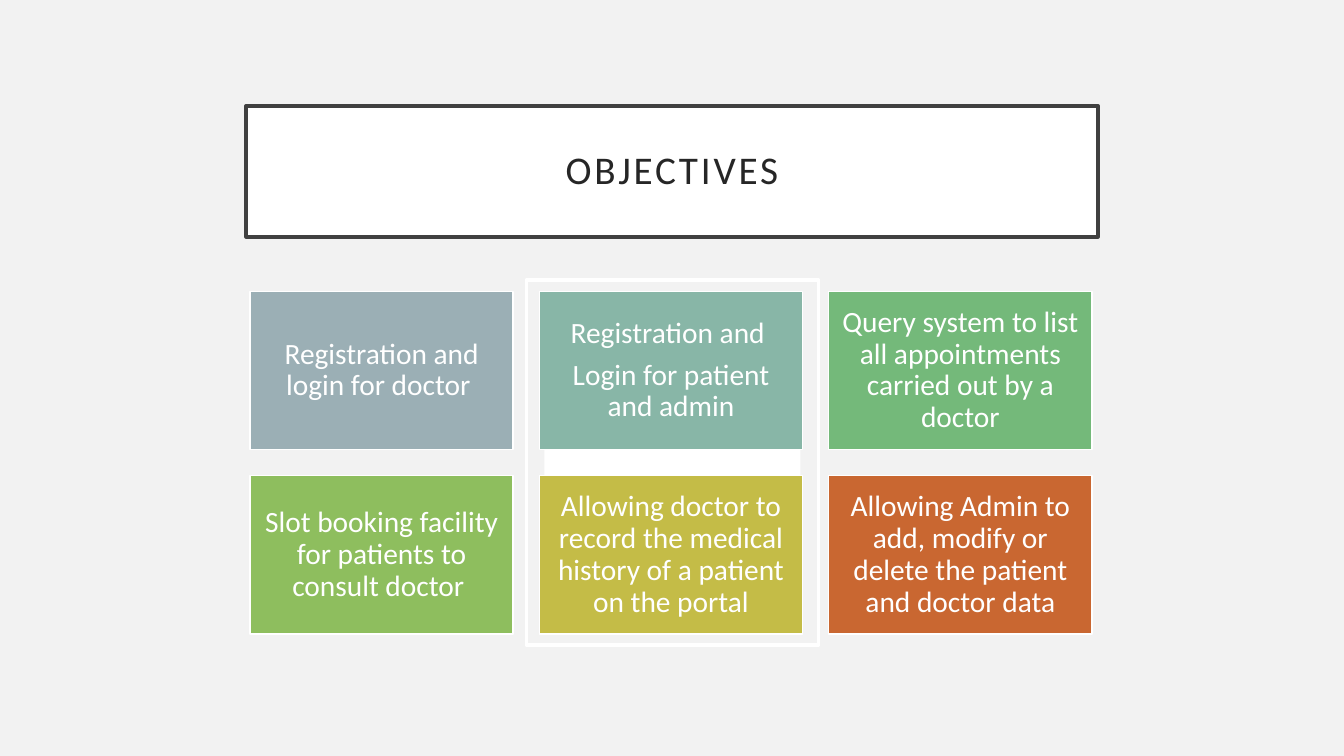
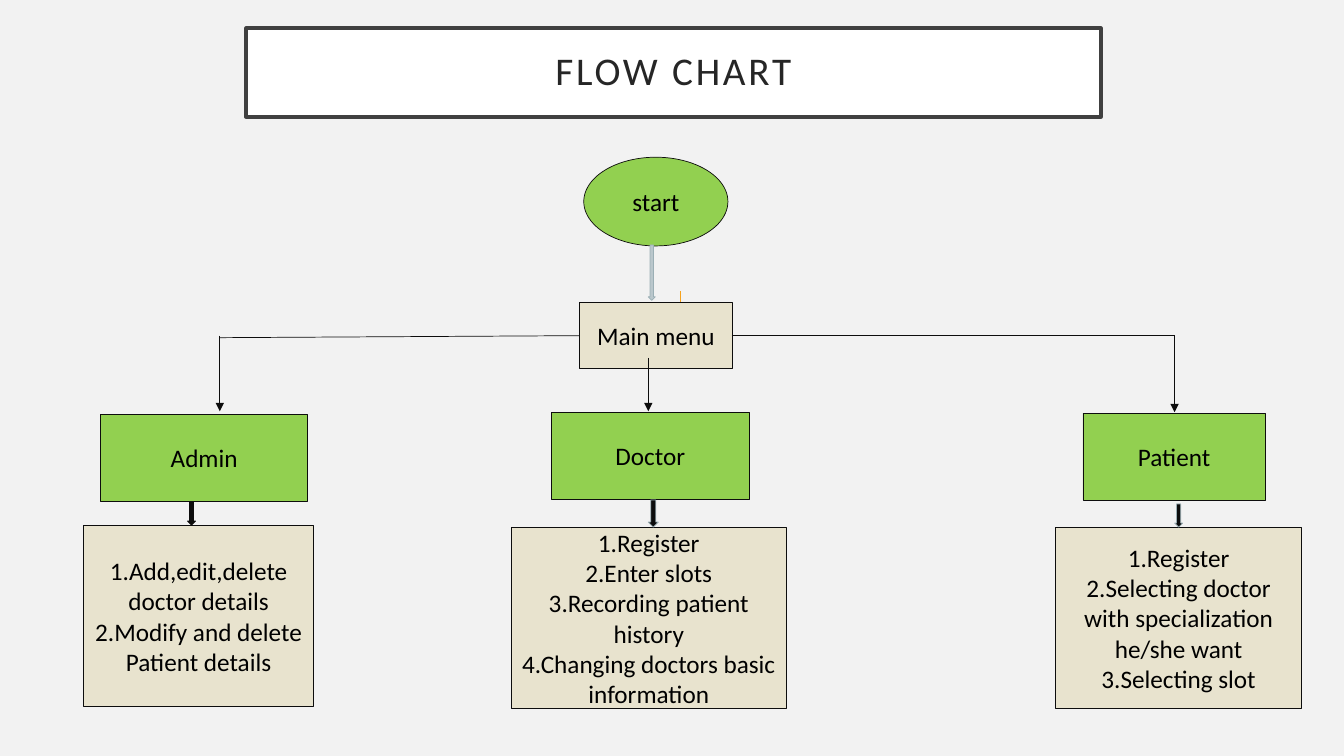
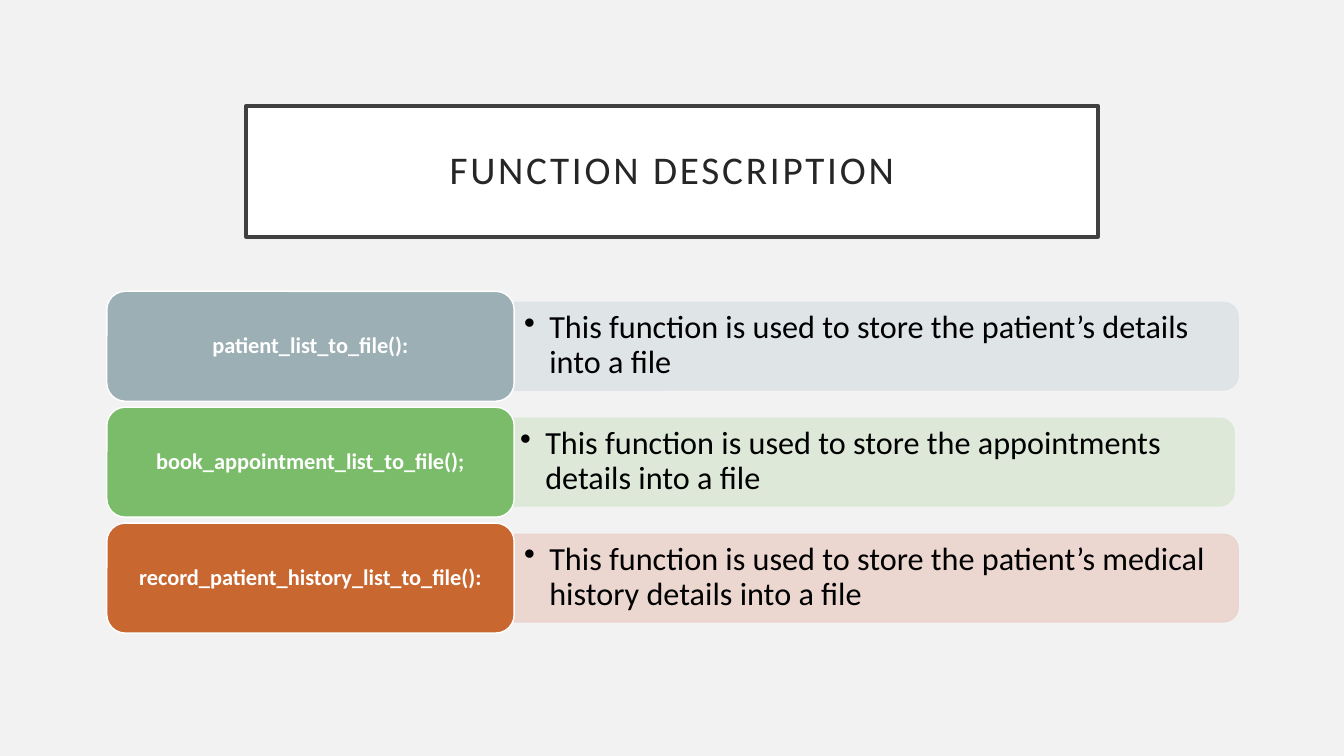
from dataclasses import dataclass
from typing import NamedTuple

from lxml.etree import SubElement
from pptx import Presentation
from pptx.dml.color import RGBColor
from pptx.enum.shapes import MSO_CONNECTOR, MSO_SHAPE
from pptx.enum.text import MSO_ANCHOR, MSO_AUTO_SIZE, PP_ALIGN
from pptx.oxml.ns import qn
from pptx.shapes.autoshape import Shape
from pptx.slide import Slide
from pptx.text.text import TextFrame
from pptx.util import Inches, Pt

FONT = "Calibri"
BACKGROUND = RGBColor(0xF2, 0xF2, 0xF2)
WHITE = RGBColor(0xFF, 0xFF, 0xFF)
BLACK = RGBColor(0x00, 0x00, 0x00)
TITLE_TEXT = RGBColor(0x26, 0x26, 0x26)
TITLE_BORDER = RGBColor(0x40, 0x40, 0x40)
INK = RGBColor(0x0D, 0x0D, 0x0D)
SLATE = RGBColor(0x9B, 0xAF, 0xB5)
PALE_SLATE = RGBColor(0xDE, 0xE3, 0xE5)
ARROW_SLATE = RGBColor(0xBA, 0xC7, 0xCC)
TEAL = RGBColor(0x88, 0xB6, 0xA7)
GREEN = RGBColor(0x74, 0xB9, 0x7A)
LEAF = RGBColor(0x7A, 0xBC, 0x69)
PALE_LEAF = RGBColor(0xDB, 0xE8, 0xD6)
LIME = RGBColor(0x8E, 0xBE, 0x5E)
OLIVE = RGBColor(0xC4, 0xBC, 0x47)
RUST = RGBColor(0xC9, 0x67, 0x31)
PALE_RUST = RGBColor(0xEB, 0xD3, 0xCD)
FLOW_GREEN = RGBColor(0x92, 0xD0, 0x50)
SAND = RGBColor(0xE8, 0xE3, 0xCE)
ORANGE = RGBColor(0xF6, 0xA2, 0x1D)


class Box(NamedTuple):
    """Left, top, width and height in inches."""

    left: float
    top: float
    width: float
    height: float

    def lengths(self) -> list[int]:
        return [Inches(value) for value in self]


TITLE_BOX = Box(2.44, 1.05, 8.45, 1.3)
FLOW_TITLE_BOX = Box(2.44, 0.28, 8.48, 0.88)


@dataclass(frozen=True)
class Objective:
    color: RGBColor
    paragraphs: tuple[str, ...]


@dataclass(frozen=True)
class Role:
    name: str
    name_box: Box
    arrow_box: Box
    arrow_border: RGBColor
    tasks_box: Box
    tasks: tuple[str, ...]


@dataclass(frozen=True)
class Route:
    start: tuple[float, float]
    end: tuple[float, float]
    arrow: bool = False
    color: RGBColor = INK


@dataclass(frozen=True)
class FunctionRow:
    name: str
    purpose: str
    color: RGBColor
    pale: RGBColor
    shift: float = 0


OBJECTIVES = (
    Objective(SLATE, ("Registration and login for doctor ",)),
    Objective(TEAL, ("Registration and ", "Login for patient and admin")),
    Objective(GREEN, ("Query system to list all appointments carried out by a doctor",)),
    Objective(LIME, ("Slot booking facility for patients to consult doctor ",)),
    Objective(OLIVE, ("Allowing doctor to record the medical history of a patient on the portal",)),
    Objective(RUST, ("Allowing Admin to add, modify or delete the patient and doctor data",)),
)

ROLES = (
    Role("Admin", Box(1, 4.11, 2.05, 0.86), Box(1.86, 4.98, 0.08, 0.23), INK,
         Box(0.83, 5.21, 2.28, 1.8),
         ("1.Add,edit,delete doctor details", "2.Modify and delete ", "Patient details")),
    Role("Doctor", Box(5.47, 4.09, 1.96, 0.86), Box(6.43, 4.96, 0.1, 0.27), SLATE,
         Box(5.07, 5.23, 2.73, 1.8),
         ("1.Register", "2.Enter slots", "3.Recording patient history",
          "4.Changing doctors basic information")),
    Role("Patient", Box(10.74, 4.1, 1.81, 0.86), Box(11.65, 5, 0.08, 0.23), SLATE,
         Box(10.47, 5.23, 2.44, 1.8),
         ("1.Register", "2.Selecting doctor with specialization he/she want",
          "3.Selecting slot")),
)

MENU_MARK = Route((6.75, 2.89), (6.75, 3.37), arrow=True, color=ORANGE)
ROUTES = (
    Route((5.75, 3.33), (2.18, 3.35)),
    Route((2.18, 3.33), (2.18, 4.08), arrow=True),
    Route((7.26, 3.33), (11.65, 3.33)),
    Route((11.65, 3.33), (11.65, 4.09), arrow=True),
    Route((6.43, 3.55), (6.43, 4.08), arrow=True),
)

FUNCTIONS = (
    FunctionRow("patient_list_to_file():",
                "This function is used to store the patient’s details into a file",
                SLATE, PALE_SLATE),
    FunctionRow("book_appointment_list_to_file();",
                "This function is used to store the appointments details into a file",
                LEAF, PALE_LEAF, shift=-0.04),
    FunctionRow("record_patient_history_list_to_file():",
                "This function is used to store the patient’s medical history details into a file",
                RUST, PALE_RUST),
)


def write_text(frame: TextFrame, *paragraphs: str, size: float = 18,
               color: RGBColor = BLACK, bold: bool = False,
               align: PP_ALIGN = PP_ALIGN.CENTER, line_spacing: float = 1.0,
               space_after: float = 0, inset: tuple[float, float] = (0.1, 0.05),
               tracking: float = 0, bullet: bool = False) -> None:
    """Fill a frame; inset is (horizontal, vertical) inches, tracking is points."""
    frame.word_wrap = True
    frame.auto_size = MSO_AUTO_SIZE.NONE
    frame.vertical_anchor = MSO_ANCHOR.MIDDLE
    frame.margin_left = frame.margin_right = Inches(inset[0])
    frame.margin_top = frame.margin_bottom = Inches(inset[1])
    for index, text in enumerate(paragraphs):
        paragraph = frame.add_paragraph() if index else frame.paragraphs[0]
        if bullet:
            properties = paragraph._p.get_or_add_pPr()
            properties.set("marL", str(Inches(0.25)))
            properties.set("indent", str(-Inches(0.25)))
            SubElement(properties, qn("a:buChar")).set("char", "•")
        paragraph.alignment = align
        paragraph.line_spacing = line_spacing
        paragraph.space_after = Pt(space_after)
        run = paragraph.add_run()
        run.text = text
        run.font.name = FONT
        run.font.size = Pt(size)
        run.font.bold = bold
        run.font.color.rgb = color
        if tracking:
            run._r.get_or_add_rPr().set("spc", str(round(tracking * 100)))


def paint(shape: Shape, fill: RGBColor | None, border: RGBColor | None,
          border_width: float) -> None:
    if fill is None:
        shape.fill.background()
    else:
        shape.fill.solid()
        shape.fill.fore_color.rgb = fill
    if border is None:
        shape.line.fill.background()
    else:
        shape.line.color.rgb = border
        shape.line.width = Pt(border_width)


def add_block(slide: Slide, kind: MSO_SHAPE, box: Box, fill: RGBColor | None = None,
              border: RGBColor | None = None, border_width: float = 1) -> Shape:
    block = slide.shapes.add_shape(kind, *box.lengths())
    block.shadow.inherit = False
    paint(block, fill, border, border_width)
    return block


def add_titled_slide(prs: Presentation, title: str, box: Box = TITLE_BOX) -> Slide:
    slide = prs.slides.add_slide(prs.slide_layouts.get_by_name("Title Only"))
    heading = slide.shapes.title
    heading.left, heading.top, heading.width, heading.height = box.lengths()
    paint(heading, WHITE, TITLE_BORDER, 2.5)
    write_text(heading.text_frame, title, size=28, color=TITLE_TEXT,
               line_spacing=0.9, inset=(0.2, 0.2), tracking=2)
    return slide


def add_route(slide: Slide, route: Route) -> None:
    points = [Inches(value) for value in (*route.start, *route.end)]
    connector = slide.shapes.add_connector(MSO_CONNECTOR.STRAIGHT, *points)
    connector.line.color.rgb = route.color
    connector.line.width = Pt(0.5)
    if route.arrow:
        SubElement(connector.line._get_or_add_ln(), qn("a:tailEnd")).set("type", "triangle")
    SubElement(connector._element.spPr, qn("a:effectLst"))


def set_opacity(shape: Shape, percent: int) -> None:
    for color in shape._element.spPr.iter(qn("a:srgbClr")):
        SubElement(color, qn("a:alpha")).set("val", str(percent * 1000))


def build_objectives(prs: Presentation) -> None:
    slide = add_titled_slide(prs, "OBJECTIVES")
    add_block(slide, MSO_SHAPE.RECTANGLE, Box(5.22, 2.78, 2.9, 3.62),
              border=WHITE, border_width=2.5)
    add_block(slide, MSO_SHAPE.RECTANGLE, Box(5.4, 2.96, 2.54, 3.26), fill=WHITE)
    width, height, gap, columns = 2.61, 1.57, 0.26, 3
    for index, objective in enumerate(OBJECTIVES):
        row, column = divmod(index, columns)
        box = Box(2.48 + column * (width + gap), 2.89 + row * (height + gap), width, height)
        card = add_block(slide, MSO_SHAPE.RECTANGLE, box, objective.color, WHITE)
        write_text(card.text_frame, *objective.paragraphs, size=21, color=WHITE,
                   line_spacing=0.9, space_after=7.35, inset=(0.09, 0.09))


def add_flow_node(slide: Slide, box: Box, fill: RGBColor, *lines: str,
                  kind: MSO_SHAPE = MSO_SHAPE.RECTANGLE) -> None:
    node = add_block(slide, kind, box, fill, INK, 0.5)
    write_text(node.text_frame, *lines)


def build_flow_chart(prs: Presentation) -> None:
    slide = add_titled_slide(prs, "FLOW CHART", FLOW_TITLE_BOX)
    add_flow_node(slide, Box(5.79, 1.56, 1.43, 0.88), FLOW_GREEN, "start", kind=MSO_SHAPE.OVAL)
    add_route(slide, MENU_MARK)
    add_flow_node(slide, Box(5.75, 3, 1.51, 0.66), SAND, "Main menu")
    add_block(slide, MSO_SHAPE.DOWN_ARROW, Box(6.43, 2.43, 0.07, 0.55),
              ARROW_SLATE, SLATE, 0.5)
    for role in ROLES:
        add_flow_node(slide, role.name_box, FLOW_GREEN, role.name)
        add_flow_node(slide, role.tasks_box, SAND, *role.tasks)
        add_block(slide, MSO_SHAPE.DOWN_ARROW, role.arrow_box, INK, role.arrow_border, 0.5)
    for route in ROUTES:
        add_route(slide, route)


def add_purpose_bar(slide: Slide, row: FunctionRow, middle: float) -> None:
    """Draw a bar, turned so its rounded end is on the right, and its bullet."""
    length, thickness = 7.18, 0.87
    center = 8.69 + row.shift
    upright = Box(center - thickness / 2, middle - length / 2, thickness, length)
    bar = add_block(slide, MSO_SHAPE.ROUND_2_SAME_RECTANGLE, upright, row.pale, row.pale)
    bar.rotation = 90
    set_opacity(bar, 90)
    text_box = Box(5.1 + row.shift, middle - 0.4, 7.14, 0.79)
    purpose = slide.shapes.add_textbox(*text_box.lengths())
    write_text(purpose.text_frame, row.purpose, size=23, align=PP_ALIGN.LEFT,
               line_spacing=0.9, bullet=True)


def build_functions(prs: Presentation) -> None:
    slide = add_titled_slide(prs, "FUNCTION DESCRIPTION")
    height, pitch = 1.09, 1.15
    for index, row in enumerate(FUNCTIONS):
        top = 2.89 + index * pitch
        add_purpose_bar(slide, row, top + height / 2)
        label = add_block(slide, MSO_SHAPE.ROUNDED_RECTANGLE, Box(1.06, top, 4.04, height),
                          row.color, WHITE)
        write_text(label.text_frame, row.name, size=16, color=WHITE, bold=True,
                   line_spacing=0.9, inset=(0.07, 0.03))


def main() -> None:
    prs = Presentation()
    prs.slide_width, prs.slide_height = Inches(13.33), Inches(7.5)
    backdrop = prs.slide_master.background.fill
    backdrop.solid()
    backdrop.fore_color.rgb = BACKGROUND
    build_objectives(prs)
    build_flow_chart(prs)
    build_functions(prs)
    prs.save("out.pptx")


if __name__ == "__main__":
    main()
